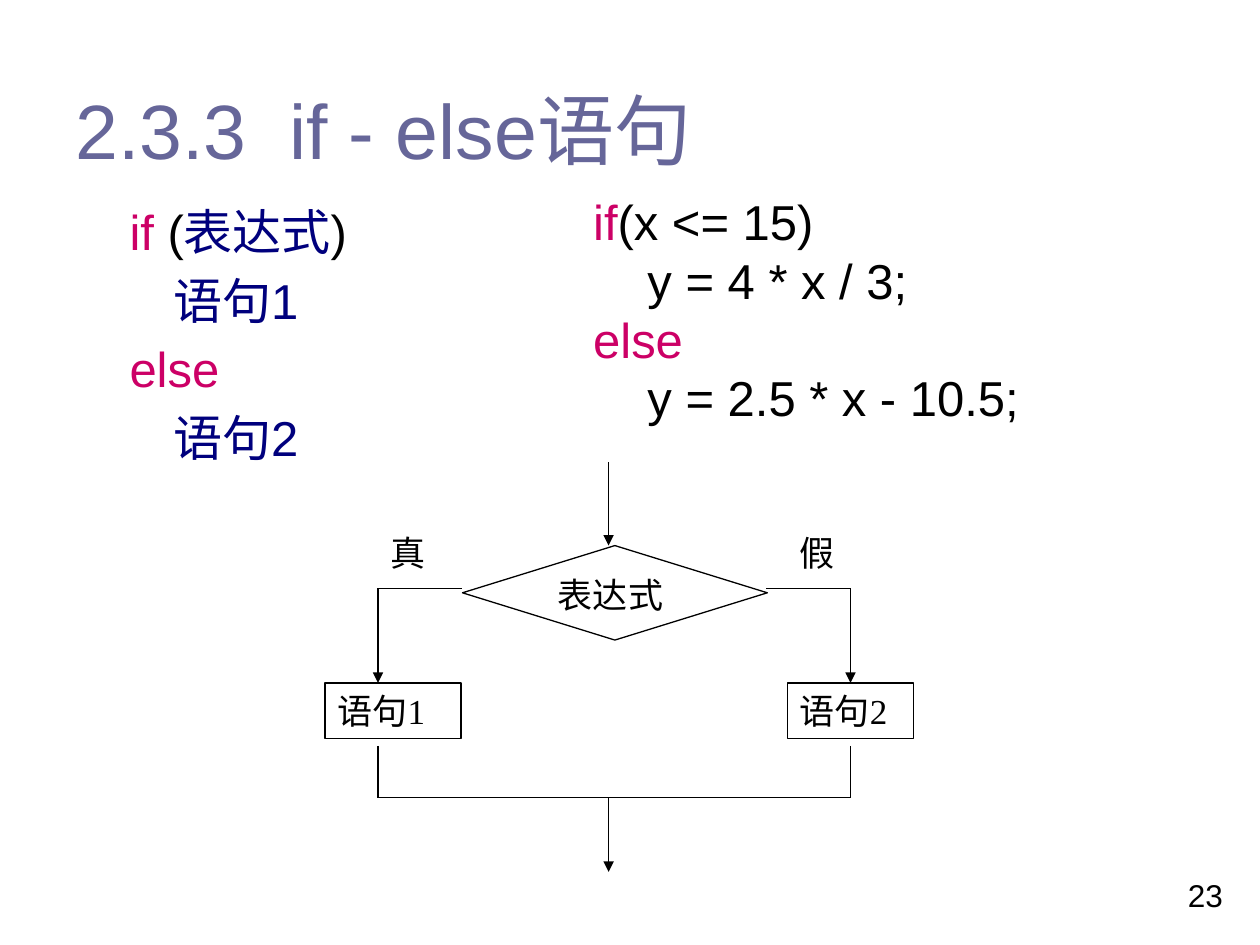
from pptx import Presentation
from pptx.dml.color import RGBColor
from pptx.enum.shapes import MSO_CONNECTOR, MSO_SHAPE
from pptx.enum.text import MSO_ANCHOR, PP_ALIGN
from pptx.oxml.ns import qn
from pptx.util import Inches, Pt
from lxml.etree import SubElement

BLACK = RGBColor(0, 0, 0)
VIOLET = RGBColor(0x66, 0x66, 0x99)
PINK = RGBColor(0xCC, 0, 0x66)
NAVY = RGBColor(0, 0, 0x7D)


def write(shape, lines, size, font="Arial", anchor=MSO_ANCHOR.TOP, margin=0, indent=0, gap=0):
    frame = shape.text_frame
    frame.word_wrap = True
    frame.vertical_anchor = anchor
    for number, runs in enumerate(lines):
        paragraph = frame.add_paragraph() if number else frame.paragraphs[0]
        paragraph.alignment = PP_ALIGN.LEFT
        if number and gap:
            paragraph.space_before = Pt(gap)
        if margin:
            properties = paragraph._p.get_or_add_pPr()
            properties.set("marL", str(Inches(margin)))
            properties.set("indent", str(Inches(indent)))
        for text, color in runs:
            run = paragraph.add_run()
            run.text = text
            for key, value in {"size": Pt(size), "name": font}.items():
                setattr(run.font, key, value)
            run.font.color.rgb = color


def connect(x1, y1, x2, y2, arrow):
    flow = slide.shapes.add_connector(
        MSO_CONNECTOR.STRAIGHT, Inches(x1), Inches(y1), Inches(x2), Inches(y2))
    flow.line.color.rgb = BLACK
    flow.line.width = Pt(0.75)
    if arrow:
        SubElement(flow.line._get_or_add_ln(), qn("a:tailEnd"), type="triangle")
    SubElement(flow._element.spPr, qn("a:effectLst"))


prs = Presentation()
prs.slide_width, prs.slide_height = Inches(10), Inches(7.5)
slide = prs.slides.add_slide(prs.slide_layouts[6])

syntax = [
    [("if", PINK), (" (", BLACK), ("表达式", NAVY), (")", BLACK)],
    [("    ", BLACK), ("语句1", NAVY)],
    [("else", PINK)],
    [("    ", BLACK), ("语句2", NAVY)],
]
example = [
    [("if", PINK), ("(x <= 15)", BLACK)],
    [("    y = 4 * x / 3;", BLACK)],
    [("else", PINK)],
    [("    y = 2.5 * x - 10.5;", BLACK)],
]
texts = [
    ((9.33, 6.9, 0.55, 0.4), [[("23", BLACK)]], {"size": 18}),
    ((0.5, 0.5, 9, 1.05), [[("2.3.3  if - else语句", VIOLET)]],
     {"size": 44, "anchor": MSO_ANCHOR.MIDDLE}),
    ((0.43, 1.55, 4.03, 2.44), syntax,
     {"size": 28, "margin": 0.81, "indent": -0.31, "gap": 5.6}),
    ((4.61, 1.47, 5.03, 2.17), example,
     {"size": 28, "margin": 0.52, "indent": -0.52}),
]
for place, lines, style in texts:
    write(slide.shapes.add_textbox(*map(Inches, place)), lines, **style)

for kind, place, label in [
    (MSO_SHAPE.DIAMOND, (3.67, 4.33, 2.42, 0.75), ""),
    (MSO_SHAPE.RECTANGLE, (2.58, 5.42, 1.08, 0.44), "语句1"),
    (MSO_SHAPE.RECTANGLE, (6.25, 5.42, 1, 0.44), "语句2"),
]:
    step = slide.shapes.add_shape(kind, *map(Inches, place))
    step.shadow.inherit = False
    step.fill.background()
    step.line.color.rgb = BLACK
    step.line.width = Pt(0.75)
    if label:
        write(step, [[(label, BLACK)]], 20, "Times New Roman")

for place, label in [
    ((4.33, 4.5, 1.17, 0.44), "表达式"),
    ((3, 4.17, 0.67, 0.44), "真"),
    ((6.25, 4.17, 0.58, 0.44), "假"),
]:
    write(slide.shapes.add_textbox(*map(Inches, place)), [[(label, BLACK)]], 20, "Times New Roman")

true_x, middle_x, false_x = 3, 4.83, 6.75
branch_y, merge_y = 4.67, 6.33
for branch_x, diamond_x in [(true_x, 3.67), (false_x, 6.08)]:
    connect(branch_x, branch_y, diamond_x, branch_y, False)
    connect(branch_x, branch_y, branch_x, 5.42, True)
    connect(branch_x, 5.92, branch_x, merge_y, False)
connect(true_x, merge_y, false_x, merge_y, False)
connect(middle_x, 3.67, middle_x, 4.33, True)
connect(middle_x, merge_y, middle_x, 6.92, True)

prs.save("out.pptx")
